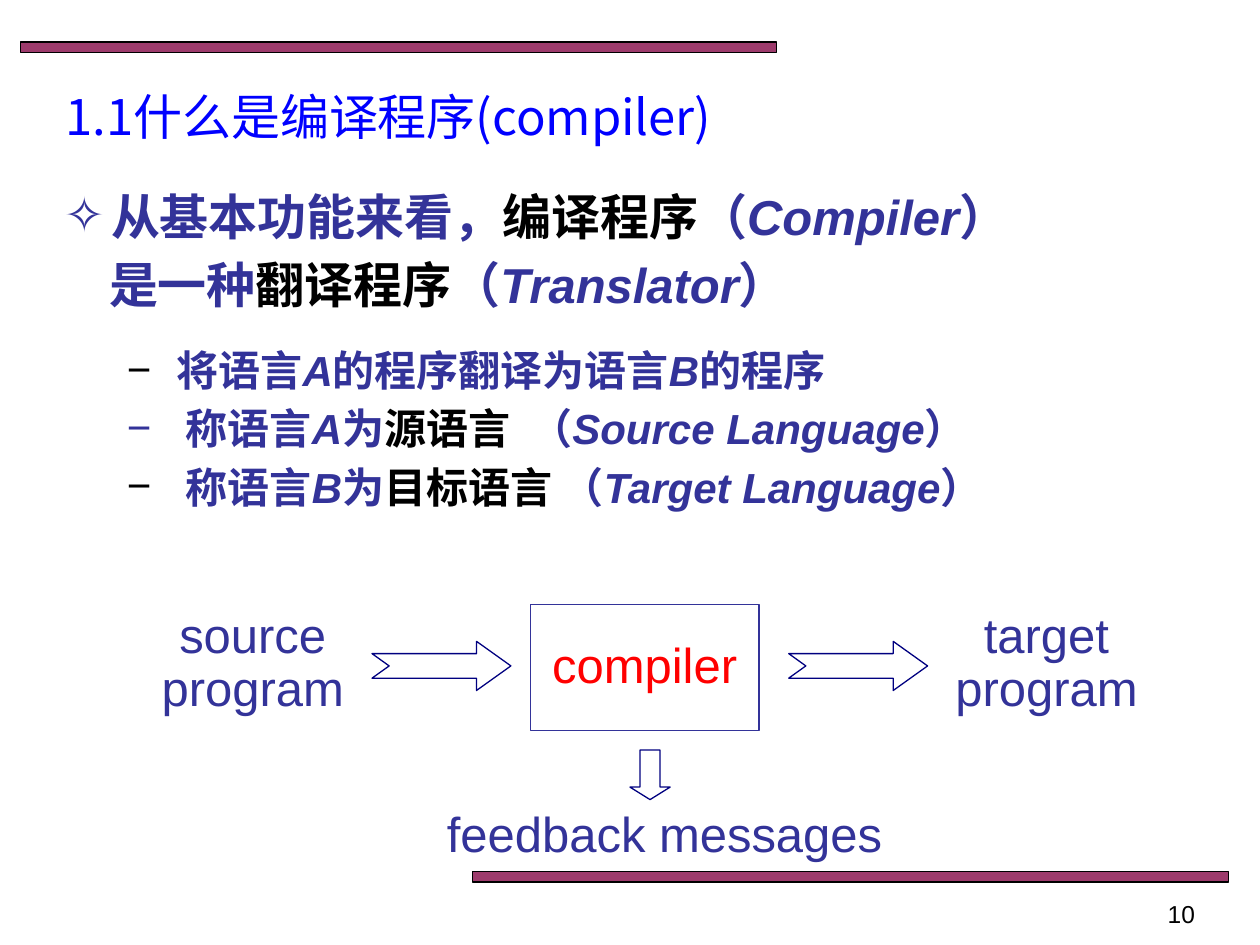
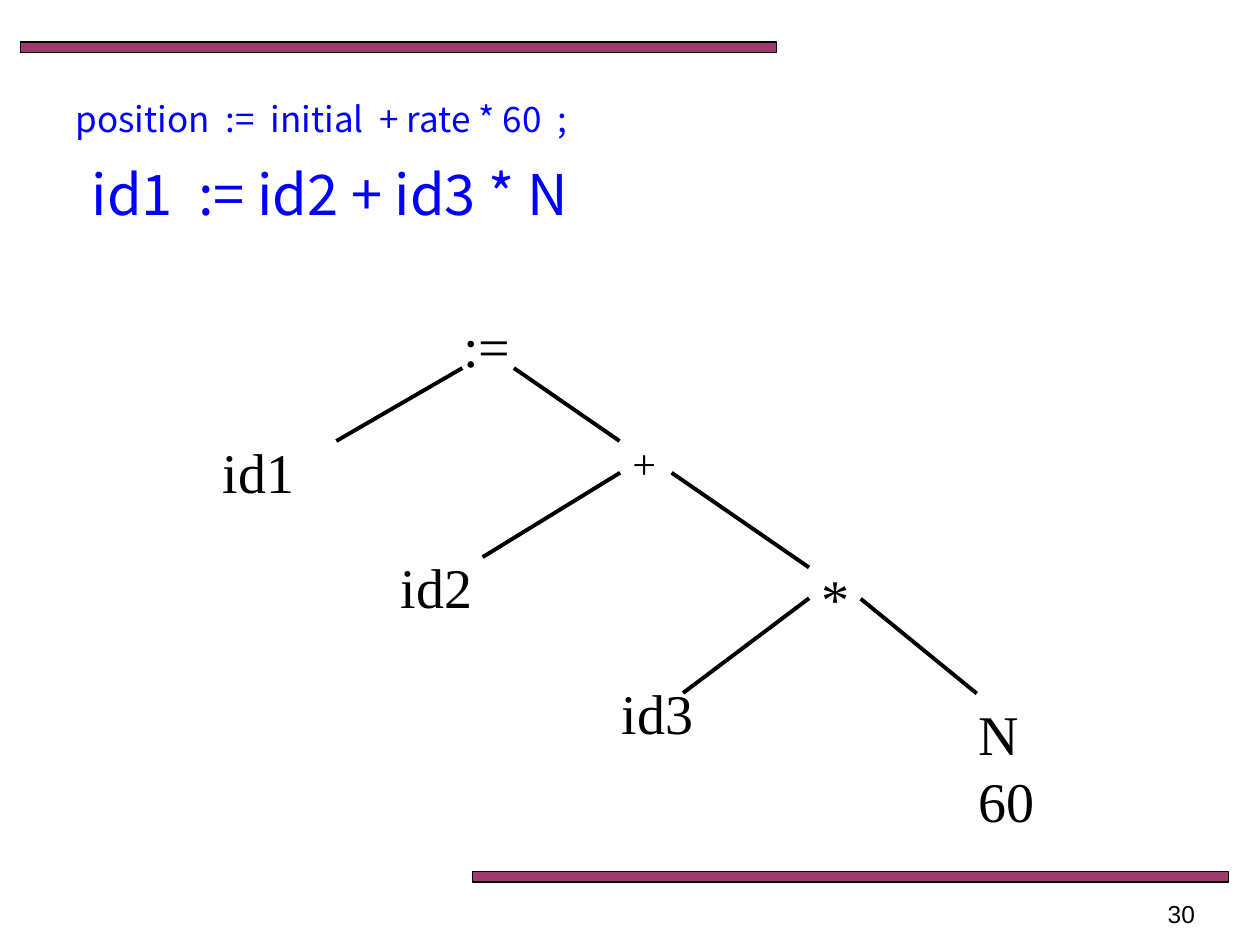
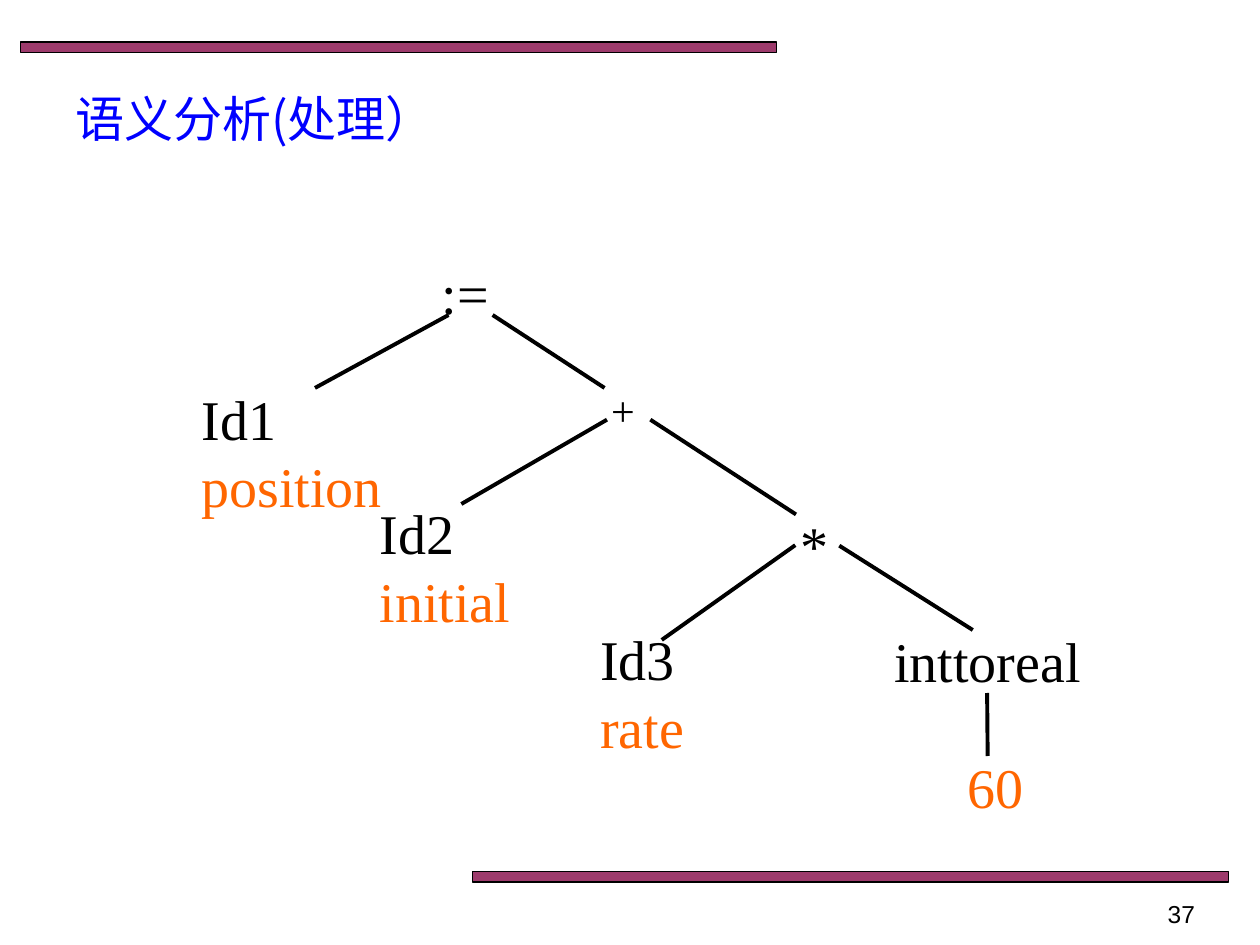
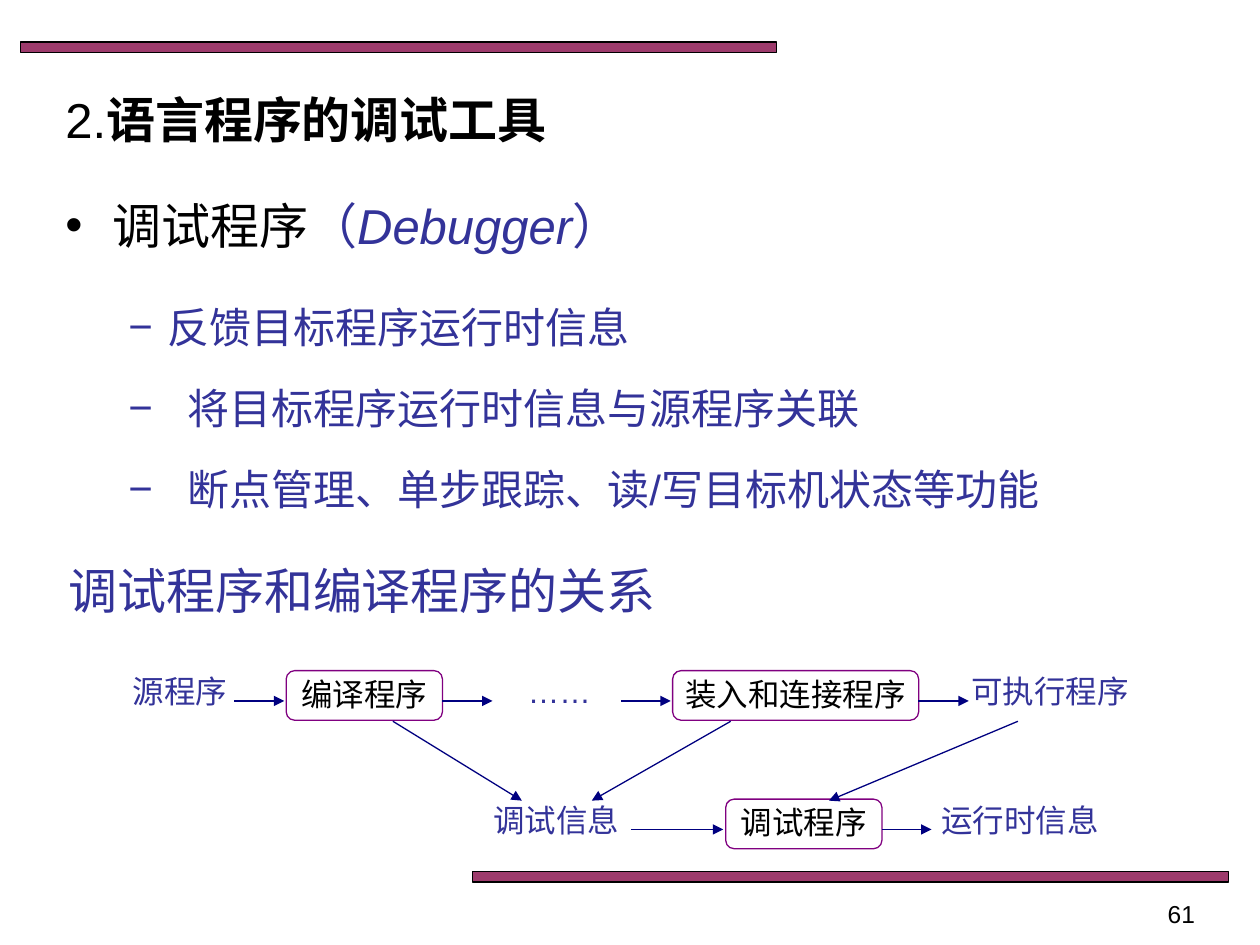
from lxml.etree import SubElement
from pptx import Presentation
from pptx.dml.color import RGBColor
from pptx.enum.shapes import MSO_CONNECTOR, MSO_SHAPE
from pptx.enum.text import MSO_ANCHOR, PP_ALIGN
from pptx.oxml.ns import qn
from pptx.util import Cm, Pt

BLACK, WHITE, RED, ORANGE = "000000", "FFFFFF", "FF0000", "FF6600"
BLUE, INDIGO, NAVY = "0000FF", "333399", "000080"
PURPLE, BAND = "800080", "993366"
SANS, CJK, SERIF = "Arial", "Noto Sans CJK SC", "Times New Roman"

# Run styles
TERM = {"color": BLACK}
ENGLISH = {"italic": True}
VALUE = {"color": ORANGE}

# Exact line heights for the mixed Chinese and Latin text
LINE_HEIGHT = {28: Pt(39), 24: Pt(33.3), 18: Pt(22.5)}


def rgb(color):
    return RGBColor.from_string(color)


# ---------- text ----------

def wide_space(points):
    """One space, widened by the given points."""
    return " ", {"spacing": points}


def write(paragraph, runs, size, color, font=SANS, bold=None, line=None,
          before=0, align=None):
    """Fill a paragraph; runs is a string or a list of (text, overrides)."""
    paragraph.alignment = align
    if line:
        paragraph.line_spacing = line
    if before:
        paragraph.space_before = Pt(before)
    paragraph.font.size = Pt(size)
    paragraph.font.bold = bold
    paragraph.font.name = font
    paragraph.font.color.rgb = rgb(color)
    defaults = paragraph._p.get_or_add_pPr().find(qn("a:defRPr"))
    SubElement(defaults, qn("a:ea"), typeface=CJK)

    for text, changes in [(runs, {})] if isinstance(runs, str) else runs:
        run = paragraph.add_run()
        run.text = text
        if "color" in changes:
            run.font.color.rgb = rgb(changes["color"])
        if "italic" in changes:
            run.font.italic = changes["italic"]
        if "bold" in changes:
            run.font.bold = changes["bold"]
        if "spacing" in changes:
            run._r.get_or_add_rPr().set("spc", str(int(changes["spacing"] * 100)))


def add_frame(slide, left, top, width, height, inset=0, anchor=MSO_ANCHOR.TOP):
    shape = slide.shapes.add_textbox(Cm(left), Cm(top), Cm(width), Cm(height))
    frame = shape.text_frame
    frame.word_wrap = True
    frame.vertical_anchor = anchor
    frame.margin_top = frame.margin_bottom = Cm(inset)
    return frame


def add_label(slide, box, runs, size, color, inset=0, **style):
    frame = add_frame(slide, *box, inset)
    write(frame.paragraphs[0], runs, size, color, **style)


def add_title(slide, box, text):
    frame = add_frame(slide, *box, anchor=MSO_ANCHOR.MIDDLE)
    write(frame.paragraphs[0], text, 28, BLUE, CJK)


def add_body(slide, box, items, bold=None):
    """Items: (runs, size, space before, text margin, bullet, bullet place, colour)."""
    frame = add_frame(slide, *box)
    for index, item in enumerate(items):
        runs, size, before, margin, bullet, bullet_left, bullet_color = item
        paragraph = frame.paragraphs[0] if index == 0 else frame.add_paragraph()
        properties = paragraph._p.get_or_add_pPr()
        properties.set("marL", str(Cm(margin)))
        if bullet:
            properties.set("indent", str(Cm(bullet_left) - Cm(margin)))
            fill = SubElement(properties, qn("a:buClr"))
            SubElement(fill, qn("a:srgbClr"), val=bullet_color)
            SubElement(properties, qn("a:buFont"), typeface=SANS)
            SubElement(properties, qn("a:buChar"), char=bullet)
        write(paragraph, runs, size, INDIGO, bold=bold,
              line=LINE_HEIGHT[size], before=before)


def heading(runs, before=0, margin=0.95, bullet=None, bullet_color=INDIGO):
    return runs, 28, before, margin, bullet, 0, bullet_color


def point(runs, before=0, margin=2.46, bullet_color=INDIGO):
    return runs, 24, before, margin, "−", 1.27, bullet_color


# ---------- shapes ----------

def add_block(slide, kind, box, line, fill=WHITE, adjustments=()):
    shape = slide.shapes.add_shape(kind, *map(Cm, box))
    shape.shadow.inherit = False
    shape.fill.solid()
    shape.fill.fore_color.rgb = rgb(fill)
    shape.line.color.rgb = rgb(line)
    shape.line.width = Pt(0.75)
    for index, value in enumerate(adjustments):
        shape.adjustments[index] = value
    return shape


def add_boxed_text(shape, text, size, color, line, bottom=0):
    frame = shape.text_frame
    frame.word_wrap = False
    frame.vertical_anchor = MSO_ANCHOR.MIDDLE
    frame.margin_top = 0
    frame.margin_bottom = Cm(bottom)
    write(frame.paragraphs[0], text, size, color, line=line,
          align=PP_ALIGN.CENTER)


def add_line(slide, start, end, color=BLACK, width=2.25, arrow=False):
    connector = slide.shapes.add_connector(
        MSO_CONNECTOR.STRAIGHT, *map(Cm, (*start, *end)))
    connector.line.color.rgb = rgb(color)
    connector.line.width = Pt(width)
    properties = connector._element.spPr
    if arrow:
        SubElement(properties.find(qn("a:ln")), qn("a:tailEnd"), type="triangle")
    SubElement(properties, qn("a:effectLst"))


def add_slide(presentation, number):
    """Blank slide with both bands and the page number."""
    slide = presentation.slides.add_slide(presentation.slide_layouts[6])
    for left, top in ((0.42, 0.85), (9.53, 17.57)):
        band = add_block(slide, MSO_SHAPE.RECTANGLE, (left, top, 15.24, 0.21),
                         BLACK, BAND)
        color = band._element.spPr.find(qn("a:solidFill")).find(qn("a:srgbClr"))
        SubElement(color, qn("a:alpha"), val="96000")
    add_label(slide, (18.42, 17.99, 5.92, 0.69), str(number), 14, BLACK,
              inset=0.13, align=PP_ALIGN.RIGHT)
    return slide


# ---------- diagrams ----------

def add_compiler_diagram(slide, left, top):
    # Inputs and outputs
    for text, x, y, width, height in (
            ("source program", 0, 0, 5.21, 2.39),
            ("target program", 16, 0, 5.21, 2.39),
            ("feedback messages", 5.61, 4.01, 10.59, 1.32)):
        add_label(slide, (left + x, top + y, width, height), text, 28, INDIGO,
                  inset=0.13, line=0.9, align=PP_ALIGN.CENTER)

    # Compiler
    compiler = add_block(slide, MSO_SHAPE.RECTANGLE,
                         (left + 8.2, top, 4.61, 2.54), INDIGO)
    add_boxed_text(compiler, "compiler", 28, RED, 0.9)

    # Block arrows
    for x in (5.01, 13.41):
        add_block(slide, MSO_SHAPE.NOTCHED_RIGHT_ARROW,
                  (left + x, top + 0.74, 2.8, 0.99), NAVY,
                  adjustments=(0.5, 0.7))
    add_block(slide, MSO_SHAPE.DOWN_ARROW,
              (left + 10.21, top + 2.93, 0.81, 1), NAVY,
              adjustments=(0.5, 0.31))


def add_syntax_tree(slide, left, top, identifiers, leaves, leaf_edges, stretch=1):
    """Tree of := + *; leaves and leaf_edges complete its right end."""
    first, second, third = identifiers
    labels = [
        (":=", 4.85, 0, 1.7 * stretch),
        ("+", 8.26, 2.54, 1.7 * stretch),
        ("*", 12.07, 5.08, 1.7 * stretch),
        (first, 0, 2.54, 4.24 * stretch),
        (second, 3.59, 4.85, 3.18 * stretch),
        (third, 8.04, 7.39, 2.34 * stretch),
    ]
    for runs, x, y, width in labels + leaves:
        size = 24 if runs == "+" else 32
        add_label(slide, (left + x, top + y, width, 1.6), runs, size, BLACK,
                  inset=0.13, font=SERIF, line=Pt(1.2 * size))

    # Edges: left end, width and rise or fall
    edges = [
        (2.54, 2.74, 2.54 * stretch, -1.47),
        (6.12, 1.27, 2.13 * stretch, 1.47),
        (5.49, 5.08, 2.77 * stretch, -1.7),
        (9.3, 3.38, 2.77 * stretch, 1.91),
        (9.53, 7.82, 2.54 * stretch, -1.91),
    ]
    for x, y, width, height in edges + leaf_edges:
        start = left + x, top + y
        add_line(slide, start, (start[0] + width, start[1] + height))


def add_debugger_flow(slide, left, top):
    row = 2.59

    # Plain labels
    for text, x, y, width in (
            ("源程序", 0, 0, 3), ("……", 7.95, 0, 2.39),
            ("可执行程序", 17.01, 0, 4.06),
            ("调试信息", 7.19, row, 3.78), ("运行时信息", 16.4, row, 4.06)):
        add_label(slide, (left + x, top + y, width, 1), text, 18, INDIGO,
                  line=LINE_HEIGHT[18], align=PP_ALIGN.CENTER)

    # Programs
    for text, x, y, width in (
            ("编译程序", 3.64, 0, 3.15), ("装入和连接程序", 11.43, 0, 4.96),
            ("调试程序", 12.5, row, 3.15)):
        block = add_block(slide, MSO_SHAPE.ROUNDED_RECTANGLE,
                          (left + x, top + y, width, 1), PURPLE,
                          adjustments=(0.17,))
        add_boxed_text(block, text, 18, BLACK, LINE_HEIGHT[18], bottom=0.1)

    # Arrows along the rows, then from row to row
    level = 0.61
    arrows = [(start, level, end, level) for start, end in (
        (2.59, 3.6), (6.78, 7.8), (10.39, 11.39), (16.38, 17.4))]
    arrows += [(start, row + level, end, row + level) for start, end in (
        (10.59, 12.45), (15.65, 16.65))]
    arrows += [(start, 1.02, end, 2.62) for start, end in (
        (5.79, 8.39), (12.6, 9.8), (18.39, 14.58))]
    for x1, y1, x2, y2 in arrows:
        add_line(slide, (left + x1, top + y1), (left + x2, top + y2),
                 NAVY, 0.75, arrow=True)


# ---------- slides ----------

def build_compiler_slide(presentation):
    slide = add_slide(presentation, 10)
    add_title(slide, (1.07, 1.29, 22.86, 2.11), "1.1什么是编译程序(compiler)")
    add_body(slide, (1.04, 3.57, 23.29, 9.5), [
        heading([("从基本功能来看，", {}), ("编译程序", TERM), ("（", {}),
                 ("Compiler", ENGLISH), ("）", {})], bullet="✧"),
        heading([("是一种", {}), ("翻译程序", TERM), ("（", {}),
                 ("Translator", ENGLISH), ("）", {})], margin=0.91),
        point([("将语言", {}), ("A", ENGLISH), ("的程序翻译为语言", {}),
               ("B", ENGLISH), ("的程序", {})], 13.2, 2.27, BLACK),
        point([("称语言", {}), ("A", ENGLISH), ("为", {}), ("源语言", TERM),
               wide_space(6), ("（", {}), ("Source Language", ENGLISH),
               ("）", {})]),
        point([("称语言", {}), ("B", ENGLISH), ("为", {}), ("目标语言", TERM),
               (" （", {}), ("Target Language", ENGLISH), ("）", {})],
              bullet_color=BLACK),
    ], bold=True)
    add_compiler_diagram(slide, 2.49, 12.19)


def build_syntax_slide(presentation):
    slide = add_slide(presentation, 30)

    # Statement above its token form
    frame = add_frame(slide, 1.27, 1.97, 19.48, 3)
    gap = wide_space(4.5)
    write(frame.paragraphs[0],
          [("position", {}), gap, (":=", {}), gap, ("initial", {}), gap,
           ("+ rate * 60", {}), gap, (";", {})], 20, BLUE, CJK)
    tokens = frame.add_paragraph()
    tokens._p.get_or_add_pPr().set("marL", str(Cm(0.33)))
    write(tokens, [("id1", {}), wide_space(7.2), (":= id2 + id3 * N", {})],
          32, BLUE, CJK, before=11.5)

    add_syntax_tree(slide, 4.24, 6.15, ("id1", "id2", "id3"),
                    leaves=[("N 60", 15.24, 7.82, 1.7)],
                    leaf_edges=[(13.11, 5.92, 2.34, 1.91)])


def build_semantic_slide(presentation):
    slide = add_slide(presentation, 37)
    add_title(slide, (1.27, 1.91, 22.86, 0.94), "语义分析(处理）")
    identifiers = [[(f"Id{number} ", {}), (name, VALUE)] for number, name in
                   enumerate(("position", "initial", "rate"), 1)]
    add_syntax_tree(slide, 3.81, 5.08, identifiers,
                    leaves=[("inttoreal", 13.97, 7.42, 4.45),
                            ([("60", VALUE)], 15.44, 9.96, 1.7)],
                    leaf_edges=[(13.11, 5.92, 2.69, 1.7),
                                (16.09, 8.89, 0.01, 1.27)],
                    stretch=1.06)


def build_debugger_slide(presentation):
    slide = add_slide(presentation, 61)
    add_body(slide, (1.07, 1.61, 23.5, 9.3), [
        heading([("2.", TERM), ("语言程序的调试工具", {**TERM, "bold": True})],
                margin=0),
        heading([("调试程序", TERM), ("（", {}), ("Debugger", ENGLISH),
                 ("）", {})], 21.6, bullet="•", bullet_color=BLACK),
        point("反馈目标程序运行时信息", 22.8, 2.06),
        point("将目标程序运行时信息与源程序关联", 13),
        point("断点管理、单步跟踪、读/写目标机状态等功能", 13),
    ])
    add_label(slide, (1.13, 11.1, 15.8, 1.45), "调试程序和编译程序的关系",
              28, INDIGO, line=LINE_HEIGHT[28])
    add_debugger_flow(slide, 2.13, 13.52)


def main():
    presentation = Presentation()
    presentation.slide_width = Cm(25.4)
    presentation.slide_height = Cm(19.05)
    build_compiler_slide(presentation)
    build_syntax_slide(presentation)
    build_semantic_slide(presentation)
    build_debugger_slide(presentation)
    presentation.save("out.pptx")


if __name__ == "__main__":
    main()
